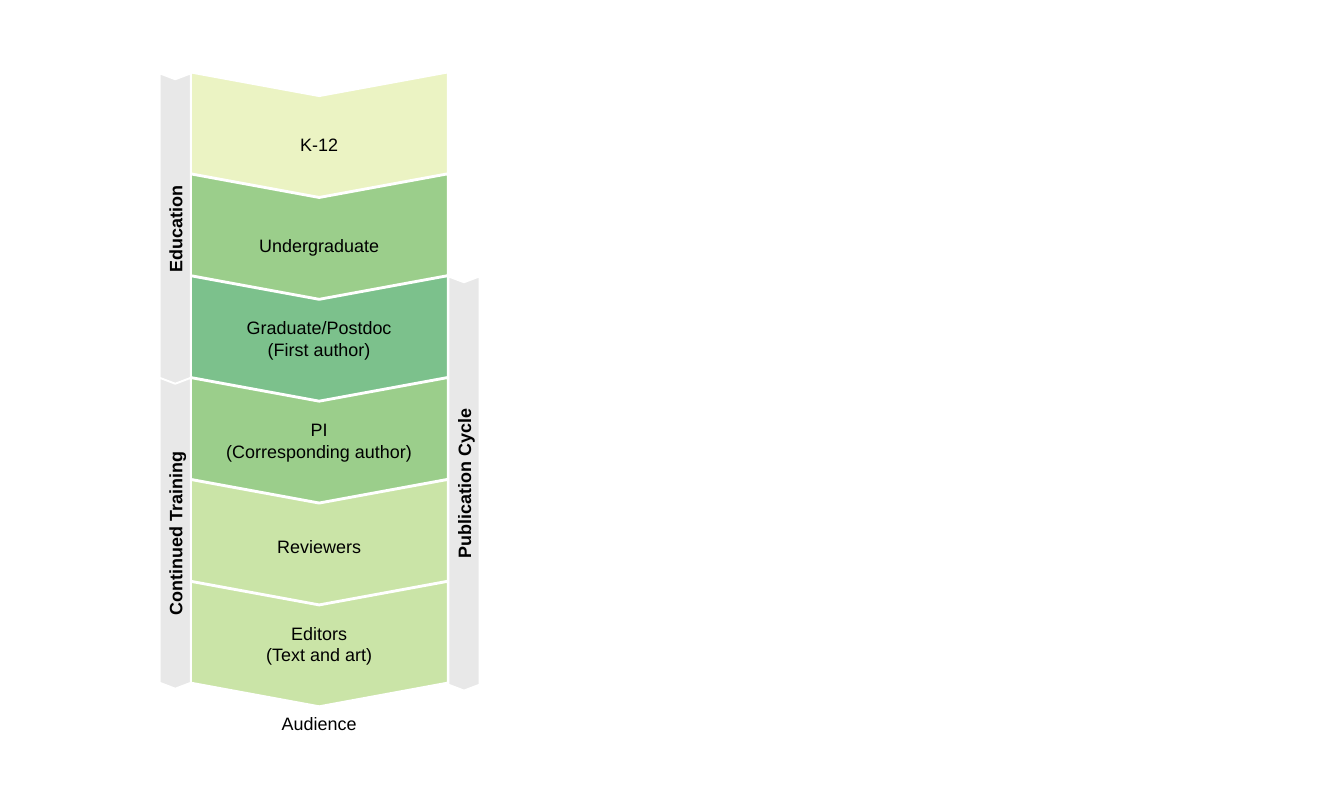
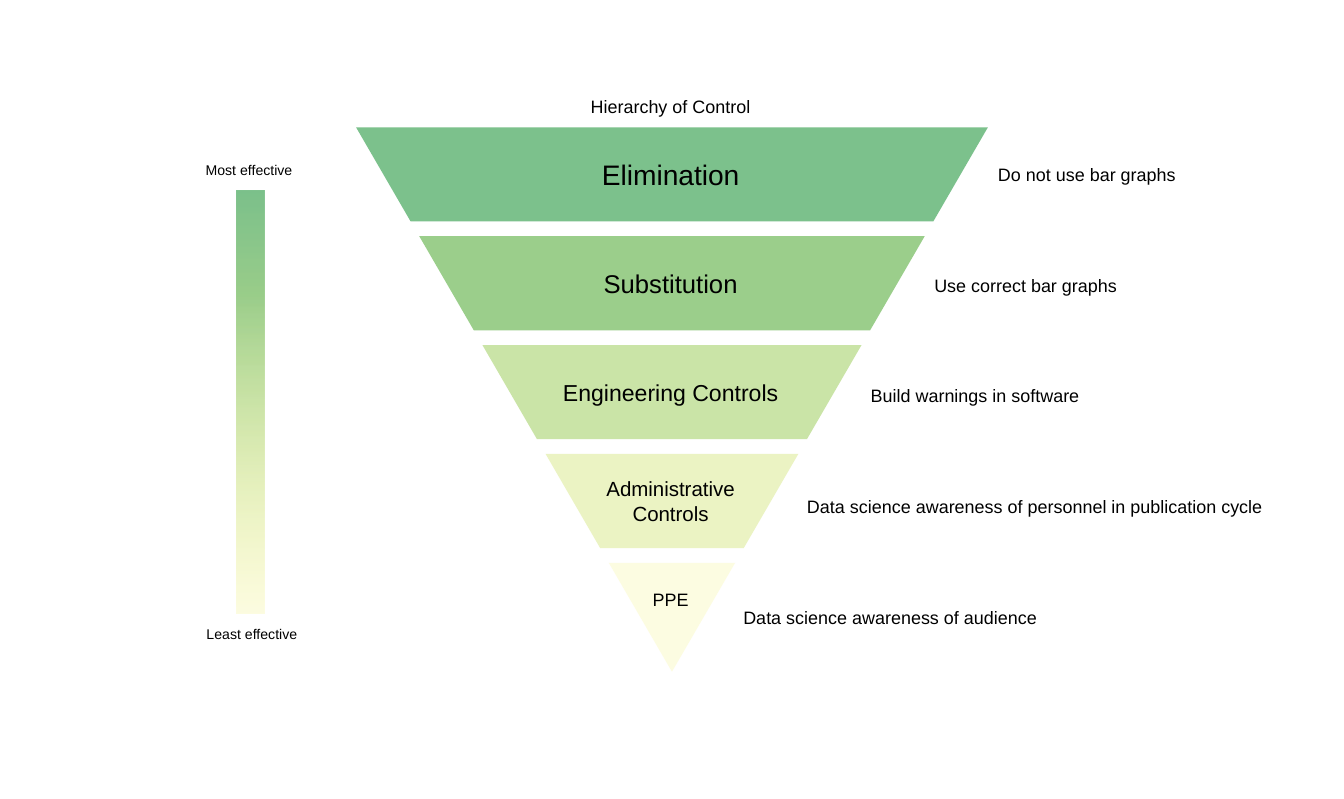
"""Build two slides: the training pipeline and the hierarchy of control."""
from dataclasses import dataclass

from lxml import etree
from pptx import Presentation
from pptx.dml.color import RGBColor
from pptx.enum import shapes, text
from pptx.oxml.ns import qn
from pptx.util import Inches, Pt


@dataclass(frozen=True)
class Theme:
    font: str = "Arial"
    ink: str = "000000"
    white: str = "FFFFFF"
    band: tuple = ("E8E8E8", 100)
    deep: tuple = ("5CB270", 80)
    mid: tuple = ("82C26E", 80)
    soft: tuple = ("A8D26D", 60)
    pale: tuple = ("CEE26B", 40)
    faint: tuple = ("F4F269", 20)
    body: int = 14
    small: int = 11
    outline: float = 1.5


theme = Theme()
scale = [theme.deep, theme.mid, theme.soft, theme.pale, theme.faint]


def block(slide, preset, box, tint, adjust=None, outlined=False):
    shape = slide.shapes.add_shape(preset, *map(Inches, box))
    shape.shadow.inherit = False
    shape.fill.solid()
    shape.fill.fore_color.rgb = RGBColor.from_string(tint[0])
    colour = shape.fill._xPr.find(qn("a:solidFill"))[0]
    etree.SubElement(colour, qn("a:alpha"), val=str(tint[1] * 1000))
    if adjust is not None:
        shape.adjustments[0] = adjust
    if outlined:
        shape.line.color.rgb = RGBColor.from_string(theme.white)
        shape.line.width = Pt(theme.outline)
    else:
        shape.line.fill.background()
    return shape


def write(shape, words, size=theme.body, bold=False, centred=True, wrap=True):
    frame = shape.text_frame
    frame.text = words
    frame.word_wrap = wrap
    frame.auto_size = text.MSO_AUTO_SIZE.NONE if wrap else text.MSO_AUTO_SIZE.SHAPE_TO_FIT_TEXT
    frame.vertical_anchor = text.MSO_ANCHOR.MIDDLE
    for paragraph in frame.paragraphs:
        paragraph.alignment = text.PP_ALIGN.CENTER if centred else text.PP_ALIGN.LEFT
        for run in paragraph.runs:
            run.font.name = theme.font
            run.font.size = Pt(size)
            run.font.bold = bold
            run.font.color.rgb = RGBColor.from_string(theme.ink)


deck = Presentation()
deck.slide_width, deck.slide_height = Inches(14.57), Inches(8.66)

pipeline = deck.slides.add_slide(deck.slide_layouts[6])
stage_length, stage_breadth, stage_pitch = 1.35, 2.79, 5.52 / 5
centre, first_middle = 3.46, 1.46
notch = 0.19
stages = [
    ("K-12", theme.pale, 0.1),
    ("Undergraduate", theme.mid, 0.1),
    ("Graduate/Postdoc\n(First author)", theme.deep, 0),
    ("PI\n(Corresponding author)", theme.mid, 0),
    ("Reviewers", theme.soft, 0.05),
    ("Editors\n(Text and art)", theme.soft, 0),
]
for index, (stage, tint, drop) in enumerate(stages):
    middle = first_middle + index * stage_pitch
    box = (centre - stage_length / 2, middle - stage_breadth / 2, stage_length, stage_breadth)
    block(pipeline, shapes.MSO_SHAPE.CHEVRON, box, tint, notch, True).rotation = 90
    label_box = (centre - stage_breadth / 2, middle + drop - 0.43, stage_breadth, 0.86)
    write(pipeline.shapes.add_textbox(*map(Inches, label_box)), stage)

band_breadth = 0.34
phases = [
    ("Education", 1.9, 2.48, 3.37),
    ("Publication Cycle", 5.03, 5.24, 4.49),
    ("Continued Training", 1.9, 5.78, 3.37),
]
for phase, across, middle, length in phases:
    box = (across - length / 2, middle - band_breadth / 2, length, band_breadth)
    block(pipeline, shapes.MSO_SHAPE.CHEVRON, box, theme.band, notch, True).rotation = 90
    phase_label = pipeline.shapes.add_textbox(*map(Inches, box))
    phase_label.rotation = 270
    write(phase_label, phase, bold=True)

audience = pipeline.shapes.add_textbox(*map(Inches, (2.33, 7.66, 2.26, 0.35)))
write(audience, "Audience")

hierarchy = deck.slides.add_slide(deck.slide_layouts[5])
heading = hierarchy.shapes.title
heading.left, heading.top, heading.width, heading.height = map(Inches, (5.27, 0.98, 4, 0.34))
write(heading, "Hierarchy of Control")

top_width, tier_height, tier_pitch, slope = 6.85, 1.02, 1.18, 0.58
step = top_width / len(scale)
tiers = [
    ("Elimination", 22, "Do not use bar graphs", 2.19),
    ("Substitution", 20, "Use correct bar graphs", 2.19),
    ("Engineering Controls", 18, "Build warnings in software", 2.58),
    ("Administrative\nControls", 16, "Data science awareness of personnel in publication cycle", 5.21),
    ("PPE", 14, "Data science awareness of audience", 3.4),
]
for index, (tier, size, action, action_width) in enumerate(tiers):
    is_tip = index == len(tiers) - 1
    top = 1.38 + index * tier_pitch
    box = (3.86 + index * step / 2, top, top_width - index * step, tier_pitch if is_tip else tier_height)
    trapezoid = block(hierarchy, shapes.MSO_SHAPE.TRAPEZOID, box, scale[index], slope)
    trapezoid._element.spPr.get_or_add_xfrm().set("flipV", "1")
    tier_box = (3.83, top, 6.88, 0.8 if is_tip else tier_height)
    write(hierarchy.shapes.add_textbox(*map(Inches, tier_box)), tier, size)
    action_box = (10.72 - index * 0.69, 1.72 + index * 1.2, action_width, 0.34)
    write(hierarchy.shapes.add_textbox(*map(Inches, action_box)), action, centred=False, wrap=False)

gauge = block(hierarchy, shapes.MSO_SHAPE.RECTANGLE, (2.56, 2.06, 0.31, 4.59), theme.deep)
gauge.fill.gradient()
gauge.fill.gradient_angle = 270
stops = gauge.fill._xPr.find(qn("a:gradFill")).find(qn("a:gsLst"))
for stop in list(stops):
    stops.remove(stop)
for index, (colour, opacity) in enumerate(scale):
    stop = etree.SubElement(stops, qn("a:gs"), pos=str(index * 25000))
    tint = etree.SubElement(stop, qn("a:srgbClr"), val=colour)
    etree.SubElement(tint, qn("a:alpha"), val=str(opacity * 1000))

for end, box in [("Most effective", (2.13, 1.7, 1.15, 0.29)), ("Least effective", (2.14, 6.72, 1.19, 0.29))]:
    write(hierarchy.shapes.add_textbox(*map(Inches, box)), end, theme.small, centred=False, wrap=False)

deck.save("out.pptx")
